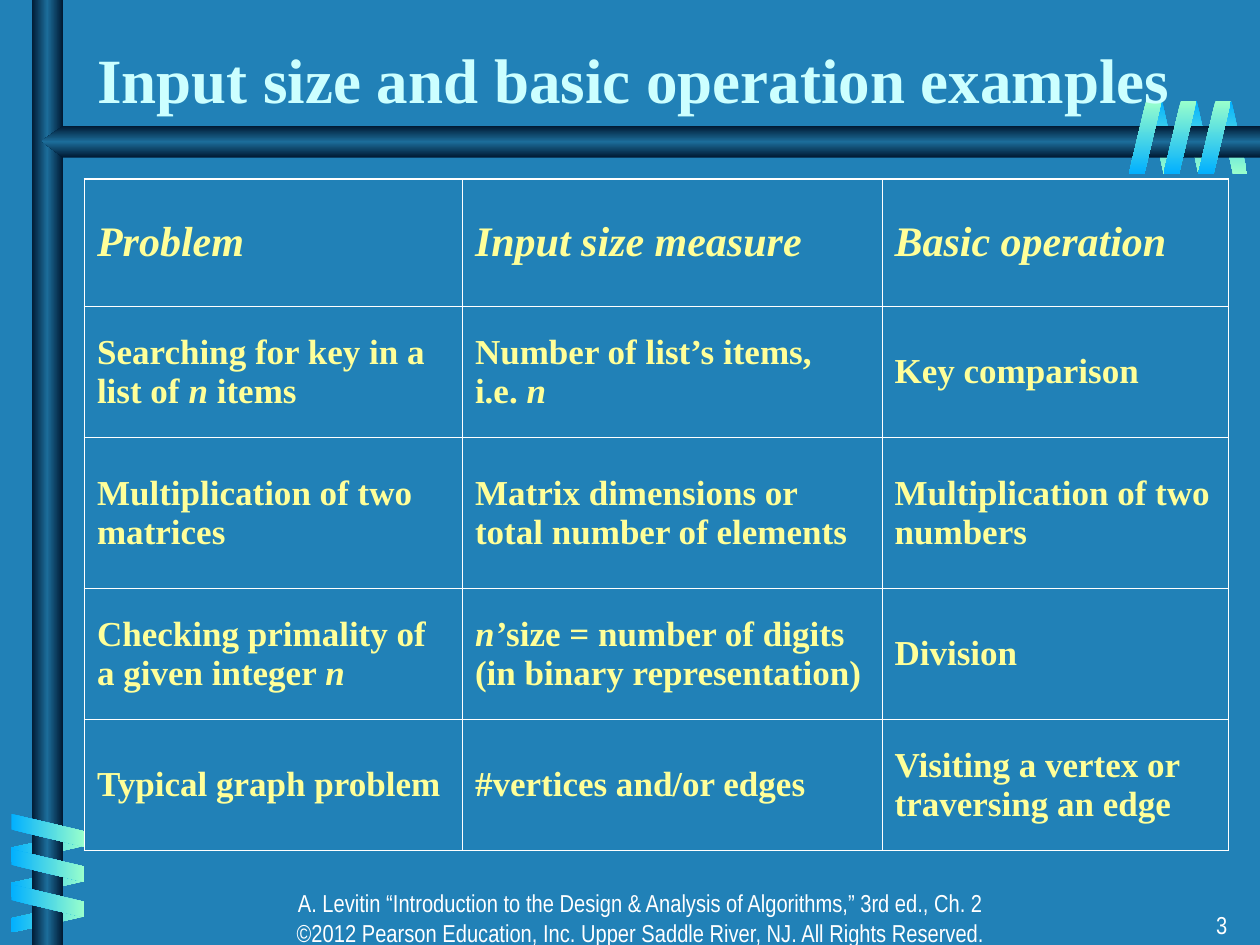
from pptx import Presentation
from pptx.dml.color import RGBColor
from pptx.enum.shapes import MSO_SHAPE as Shape
from pptx.enum.text import MSO_ANCHOR as Anchor, PP_ALIGN as Align
from pptx.oxml import parse_xml
from pptx.oxml.ns import nsdecls, qn
from pptx.util import Inches, Pt

BLUE = RGBColor(0x21, 0x81, 0xB7)
NAVY = RGBColor(0x00, 0x19, 0x32)
STEEL = RGBColor(0x1C, 0x6D, 0x9A)
SKY = RGBColor(0x01, 0xB0, 0xFF)
MINT = RGBColor(0x99, 0xFF, 0xCC)
ICE = RGBColor(0xCC, 0xFF, 0xFF)
YELLOW = RGBColor(0xFF, 0xFF, 0x99)
WHITE = RGBColor(0xFF, 0xFF, 0xFF)

SERIF = "Times New Roman"
NARROW = "Arial Narrow"
BAR_COLORS = (NAVY, STEEL, NAVY)

TITLE = "Input size and basic operation examples"
FOOTER = (
    "A. Levitin “Introduction to the Design & Analysis of Algorithms,” 3rd ed., Ch. 2 "
    "©2012 Pearson Education, Inc. Upper Saddle River, NJ. All Rights Reserved."
)
# Text between asterisks is italic.
ROWS = [
    ("*Problem*", "*Input size measure*", "*Basic operation*"),
    ("Searching for key in a list of *n* items",
     "Number of list’s items,\ni.e. *n*", "Key comparison"),
    ("Multiplication of two matrices",
     "Matrix dimensions or total number of elements",
     "Multiplication of two numbers"),
    ("Checking primality of a given integer *n*",
     "*n’*size = number of digits (in binary representation)", "Division"),
    ("Typical graph problem", "#vertices and/or edges",
     "Visiting a vertex or traversing an edge"),
]
COLUMN_WIDTHS = (3, 3.33, 2.75)
ROW_HEIGHTS = (1.01, 1.04, 1.2, 1.04, 1.04)


class SlideBuilder:
    def __init__(self, deck):
        self.page = deck.slides.add_slide(deck.slide_layouts[5])
        self.shapes = self.page.shapes
        background = self.page.background.fill
        background.solid()
        background.fore_color.rgb = BLUE

    def style(self, font, size, color, name=SERIF, bold=False, italic=False):
        font.name, font.size, font.color.rgb = name, Pt(size), color
        font.bold, font.italic = bold, italic

    def paint(self, shape, colors, angle):
        """Fill with an evenly spaced gradient that does not turn with the shape."""
        shape.shadow.inherit = False
        shape.line.fill.background()
        shape.fill.background()
        last = len(colors) - 1
        stops = "".join(
            f'<a:gs pos="{100000 * i // last}"><a:srgbClr val="{color}"/></a:gs>'
            for i, color in enumerate(colors)
        )
        gradient = parse_xml(
            f'<a:gradFill {nsdecls("a")} rotWithShape="0"><a:gsLst>{stops}</a:gsLst>'
            f'<a:lin ang="{angle * 60000}" scaled="0"/></a:gradFill>'
        )
        properties = shape.element.spPr
        properties.replace(properties.find(qn("a:noFill")), gradient)

    def coil(self, left, top, width, colors, angle, step, rotation=0, flip=False):
        """Draw three slanted bands, each moved on by step (x, y)."""
        for i in range(3):
            band = self.shapes.add_shape(
                Shape.PARALLELOGRAM, Inches(left + i * step[0]),
                Inches(top + i * step[1]), Inches(width), Inches(0.58))
            band.adjustments[0] = 0.53
            band.rotation = rotation
            if flip:
                band.element.spPr.xfrm.set("flipH", "1")
            self.paint(band, colors, angle)

    def upright_bar(self):
        bar = self.shapes.add_shape(
            Shape.RECTANGLE, Inches(0.25), 0, Inches(0.25), Inches(7.5))
        self.paint(bar, BAR_COLORS, 0)

    def pointed_bar(self):
        corners = [(10, 1), (0.5, 1), (0.33, 1.12), (0.5, 1.25), (10, 1.25)]
        start, *rest = [(Inches(x), Inches(y)) for x, y in corners]
        outline = self.shapes.build_freeform(*start)
        outline.add_line_segments(rest, close=True)
        self.paint(outline.convert_to_shape(), BAR_COLORS, 90)

    def title(self, text):
        title = self.shapes.title
        self.shapes.element.append(title.element)  # in front of the coils
        title.left, title.top = Inches(0.67), Inches(0.22)
        title.width, title.height = Inches(9.33), Inches(0.75)
        frame = title.text_frame
        frame.text = text
        frame.vertical_anchor = Anchor.BOTTOM
        para = frame.paragraphs[0]
        para.alignment = Align.LEFT
        self.style(para.runs[0].font, 36, ICE, bold=True)

    def small_text(self, text, left, top, width, align):
        box = self.shapes.add_textbox(
            Inches(left), Inches(top), Inches(width), Inches(0.33))
        frame = box.text_frame
        frame.word_wrap = True
        frame.text = text
        para = frame.paragraphs[0]
        para.alignment = align
        self.style(para.runs[0].font, 14, WHITE, NARROW)

    def borders(self, cell, outer_sides):
        properties = cell._tc.get_or_add_tcPr()
        for i, side in enumerate("LRTB"):
            width = Pt(1.08 if side in outer_sides else 0.45)
            properties.insert(i, parse_xml(
                f'<a:ln{side} {nsdecls("a")} w="{width}"><a:solidFill>'
                f'<a:srgbClr val="{WHITE}"/></a:solidFill></a:ln{side}>'))

    def cell_text(self, cell, text, size):
        para = cell.text_frame.paragraphs[0]
        for i, part in enumerate(text.split("*")):
            for j, line in enumerate(part.split("\n")):
                if j:
                    para.add_line_break()
                if line:
                    span = para.add_run()
                    span.text = line
                    self.style(span.font, size, YELLOW, bold=True, italic=i % 2 == 1)

    def table(self, rows, left, top, widths, heights):
        table = self.shapes.add_table(
            len(rows), len(widths), Inches(left), Inches(top),
            Inches(sum(widths)), Inches(sum(heights))).table
        table.first_row = table.horz_banding = False
        for column, width in zip(table.columns, widths):
            column.width = Inches(width)
        for r, (texts, height) in enumerate(zip(rows, heights)):
            table.rows[r].height = Inches(height)
            for c, text in enumerate(texts):
                cell = table.cell(r, c)
                cell.fill.background()
                cell.vertical_anchor = Anchor.MIDDLE
                self.cell_text(cell, text, 20 if r else 24)
                edges = {"L": c == 0, "R": c == len(widths) - 1,
                         "T": r == 0, "B": r == len(rows) - 1}
                self.borders(cell, [side for side, outer in edges.items() if outer])


def main():
    deck = Presentation()
    deck.slide_width, deck.slide_height = Inches(10), Inches(7.5)
    slide = SlideBuilder(deck)
    across, down = (0.275, 0), (0, 0.28)
    slide.coil(9.11, 0.8, 0.24, (SKY, MINT), 90, across, rotation=180, flip=True)
    slide.coil(0.26, 6.43, 0.24, (MINT, SKY), 0, down, rotation=90, flip=True)
    slide.upright_bar()
    slide.pointed_bar()
    slide.coil(0.25, 6.3, 0.26, (SKY, MINT), 0, down, rotation=270)
    slide.coil(8.96, 0.8, 0.26, (MINT, SKY), 90, across)
    slide.small_text(FOOTER, 2.17, 7, 5.83, Align.CENTER)
    slide.small_text("3", 7.76, 7.17, 2.08, Align.RIGHT)
    slide.title(TITLE)
    slide.table(ROWS, 0.67, 1.42, COLUMN_WIDTHS, ROW_HEIGHTS)
    deck.save("out.pptx")


if __name__ == "__main__":
    main()
